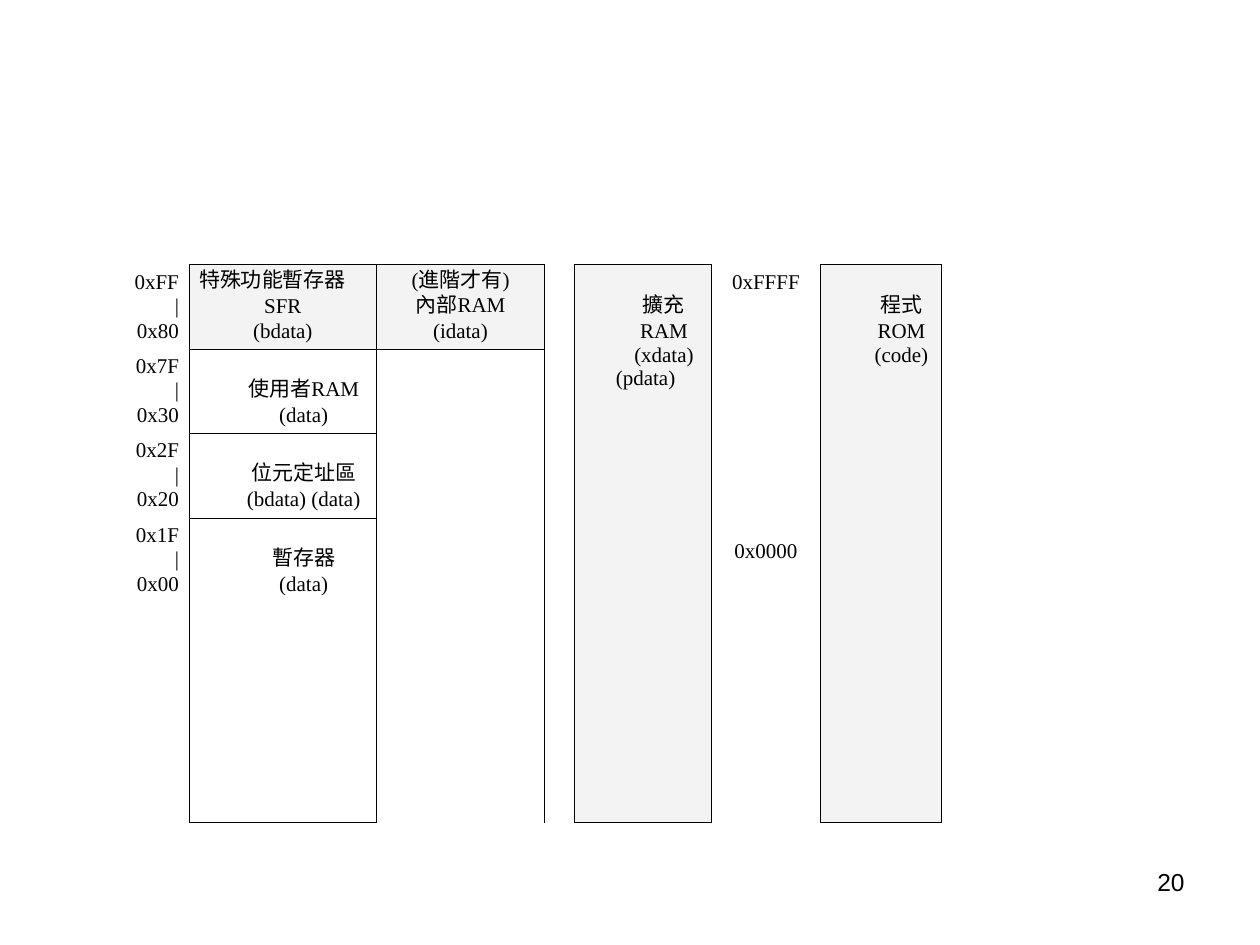
import dataclasses

import lxml.etree
import pptx
import pptx.dml.color
import pptx.enum.text
import pptx.oxml.ns
import pptx.util

Inches = pptx.util.Inches
Pt = pptx.util.Pt
ALIGN = pptx.enum.text.PP_ALIGN


@dataclasses.dataclass(frozen=True)
class Theme:
    ink: str = "000000"
    shade: str = "F3F3F3"
    table_font: str = "Times New Roman"
    number_font: str = "Arial"
    table_size: float = 12
    number_size: float = 14
    line_spacing: float = 13
    space_after: float = 1
    border_width: float = 0.45


@dataclasses.dataclass(frozen=True)
class Block:
    """One memory region; a lowered region starts one text line further down."""
    row: int
    column: int
    lines: tuple = ()
    edges: str = "LRTB"
    rows: int = 1
    shaded: bool = False
    lowered: bool = False
    align: object = ALIGN.CENTER


THEME = Theme()
NO_STYLE = "{2D5ABB26-0587-4C30-8999-92F81FD0307C}"
COLUMN_WIDTHS = (0.83, 1.49, 1.33, 0.24, 1.09, 0.86, 0.96)
ROW_HEIGHTS = (0.67, 0.67, 0.67, 2.41)
ADDRESS_RANGES = (("0xFF", "0x80"), ("0x7F", "0x30"), ("0x2F", "0x20"), ("0x1F", "0x00"))
BLOCKS = [
    Block(row, 0, (high, "|", low), "R", align=ALIGN.RIGHT)
    for row, (high, low) in enumerate(ADDRESS_RANGES)
] + [
    Block(0, 1, ("特殊功能暫存器", "SFR", "(bdata)"), shaded=True),
    Block(1, 1, ("使用者RAM", "(data)"), lowered=True),
    Block(2, 1, ("位元定址區", "(bdata) (data)"), lowered=True),
    Block(3, 1, ("暫存器", "(data)"), lowered=True),
    Block(0, 2, ("(進階才有)", "內部RAM", "(idata)"), shaded=True),
    Block(1, 2, edges="LT", rows=3),
    Block(0, 3, edges="LR", rows=4),
    Block(0, 4, ("擴充", "RAM", "(xdata) (pdata)"), rows=4, shaded=True, lowered=True),
    Block(0, 5, ("0xFFFF", "0x0000"), "LR", rows=4),
    Block(0, 6, ("程式", "ROM", "(code)"), rows=4, shaded=True, lowered=True),
]
LINES_BETWEEN_ADDRESSES = 10


def color(value):
    return pptx.dml.color.RGBColor.from_string(value)


def style_font(font, name, size):
    font.name = name
    font.size = Pt(size)
    font.color.rgb = color(THEME.ink)


def add_borders(cell, edges):
    properties = cell._tc.get_or_add_tcPr()
    qn = pptx.oxml.ns.qn
    for edge in edges:
        line = lxml.etree.SubElement(properties, qn("a:ln" + edge), w=str(Pt(THEME.border_width)))
        fill = lxml.etree.SubElement(line, qn("a:solidFill"))
        lxml.etree.SubElement(fill, qn("a:srgbClr"), val=THEME.ink)


def write_lines(cell, block):
    line_step = THEME.line_spacing + THEME.space_after
    cell.margin_left = cell.margin_right = Inches(0.08)
    cell.margin_top = Inches(0.05) + (Pt(line_step) if block.lowered else 0)
    cell.margin_bottom = Inches(0.05)
    cell.text_frame.text = "\n".join(block.lines)
    for paragraph in cell.text_frame.paragraphs:
        paragraph.alignment = block.align
        paragraph.line_spacing = Pt(THEME.line_spacing)
        paragraph.space_after = Pt(THEME.space_after)
        properties = paragraph._p.get_or_add_pPr()
        properties.set("marL", str(Inches(0.04)))
        properties.set("indent", str(Inches(0.29 if block.lowered else -0.04)))
        for run in paragraph.runs:
            style_font(run.font, THEME.table_font, THEME.table_size)
    if block.lines[0] == "特殊功能暫存器":
        cell.text_frame.paragraphs[0].alignment = ALIGN.LEFT
    if block.lines[-1] == "0x0000":
        cell.text_frame.paragraphs[-1].space_before = Pt(LINES_BETWEEN_ADDRESSES * line_step)


def draw_block(table, block):
    cell = table.cell(block.row, block.column)
    last_row = block.row + block.rows - 1
    if block.rows > 1:
        cell.merge(table.cell(last_row, block.column))
    add_borders(cell, block.edges)
    for row in range(block.row + 1, last_row + 1):
        visible = "LRB" if row == last_row else "LR"
        add_borders(table.cell(row, block.column), [e for e in block.edges if e in visible])
    if block.shaded:
        cell.fill.solid()
        cell.fill.fore_color.rgb = color(THEME.shade)
    else:
        cell.fill.background()
    if block.lines:
        write_lines(cell, block)


def add_memory_map(slide):
    frame = slide.shapes.add_table(
        len(ROW_HEIGHTS), len(COLUMN_WIDTHS), Inches(0.67), Inches(2.1),
        Inches(sum(COLUMN_WIDTHS)), Inches(sum(ROW_HEIGHTS)))
    table = frame.table
    table.first_row = table.horz_banding = False
    table._tbl.tblPr.find(pptx.oxml.ns.qn("a:tableStyleId")).text = NO_STYLE
    for column, width in zip(table.columns, COLUMN_WIDTHS):
        column.width = Inches(width)
    for row, height in zip(table.rows, ROW_HEIGHTS):
        row.height = Inches(height)
    for block in BLOCKS:
        draw_block(table, block)


def add_page_number(slide, number):
    box = slide.shapes.add_textbox(Inches(7.17), Inches(6.83), Inches(2.33), Inches(0.52))
    box.text_frame.word_wrap = True
    box.text_frame.text = number
    paragraph = box.text_frame.paragraphs[0]
    paragraph.alignment = ALIGN.RIGHT
    style_font(paragraph.runs[0].font, THEME.number_font, THEME.number_size)


def main():
    presentation = pptx.Presentation()
    presentation.slide_width = Inches(10)
    presentation.slide_height = Inches(7.5)
    slide = presentation.slides.add_slide(presentation.slide_layouts[6])
    add_page_number(slide, "20")
    add_memory_map(slide)
    presentation.save("out.pptx")


if __name__ == "__main__":
    main()
